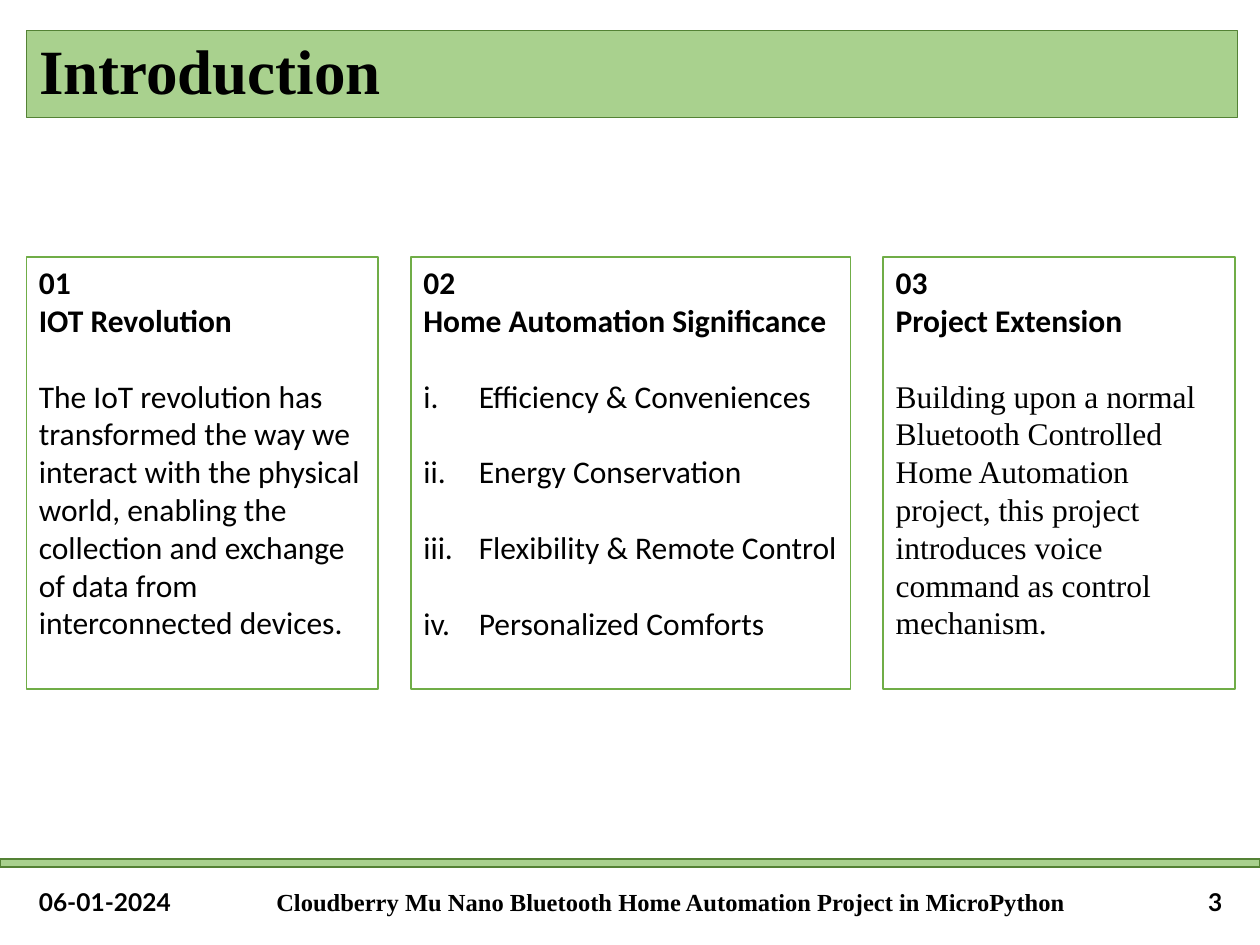
from dataclasses import dataclass

from lxml.etree import SubElement
from pptx import Presentation
from pptx.dml.color import RGBColor
from pptx.enum.shapes import MSO_SHAPE
from pptx.enum.text import MSO_ANCHOR, MSO_AUTO_SIZE, PP_ALIGN
from pptx.oxml.ns import qn
from pptx.util import Inches, Pt


@dataclass(frozen=True)
class Theme:
    black: RGBColor = RGBColor.from_string("000000")
    white: RGBColor = RGBColor.from_string("FFFFFF")
    band: RGBColor = RGBColor.from_string("A9D18E")
    band_line: RGBColor = RGBColor.from_string("548235")
    card_line: RGBColor = RGBColor.from_string("70AD47")
    serif: str = "Times New Roman"
    sans: str = "Calibri"
    footer_sans: str = "Lato"
    title_size: float = 36
    body_size: float = 18
    footer_size: float = 14
    line_pitch: float = 21.6


THEME = Theme()
WIDTH, HEIGHT = 10, 7.5
MARGIN, GAP = 0.21, 0.26
CARD_TOP, CARD_HEIGHT = 2.04, 3.43
LIST_INDENT = 0.44

CARDS = [
    (2.79, "01", "IOT Revolution", THEME.sans,
     "The IoT revolution has transformed the way we interact with the physical "
     "world, enabling the collection and exchange of data from interconnected devices."),
    (3.49, "02", "Home Automation Significance", THEME.sans,
     ["Efficiency & Conveniences", "Energy Conservation",
      "Flexibility & Remote Control", "Personalized Comforts"]),
    (2.79, "03", "Project Extension", THEME.serif,
     "Building upon a normal Bluetooth Controlled Home Automation project, this "
     "project introduces voice command as control mechanism."),
]


def place(shape, box):
    shape.left, shape.top, shape.width, shape.height = map(Inches, box)


def paint(shape, fill, line, width):
    shape.fill.solid()
    shape.fill.fore_color.rgb = fill
    shape.line.color.rgb = line
    shape.line.width = Pt(width)


def set_font(paragraph, name, size, bold):
    font = paragraph.font
    font.name, font.size, font.bold = name, Pt(size), bold
    font.color.rgb = THEME.black


def set_bullet(paragraph, numbered):
    """Number the paragraph in small roman numerals, or remove its bullet."""
    properties = paragraph._p.get_or_add_pPr()
    indent = Inches(LIST_INDENT) if numbered else 0
    properties.set("marL", str(indent))
    properties.set("indent", str(-indent))
    if numbered:
        SubElement(properties, qn("a:buFont"), typeface="+mj-lt")
        SubElement(properties, qn("a:buAutoNum"), type="romanLcPeriod")
    else:
        SubElement(properties, qn("a:buNone"))


def add_title(slide, box, text):
    title = slide.shapes.title
    place(title, box)
    paint(title, THEME.band, THEME.band_line, 0.5)
    frame = title.text_frame
    frame.text = text
    frame.auto_size = MSO_AUTO_SIZE.NONE
    frame.vertical_anchor = MSO_ANCHOR.MIDDLE
    paragraph = frame.paragraphs[0]
    paragraph.alignment = PP_ALIGN.LEFT
    paragraph.line_spacing = 0.9
    set_font(paragraph, THEME.serif, THEME.title_size, True)


def fill_card(shape, box, number, heading, font_name, body):
    place(shape, box)
    paint(shape, THEME.white, THEME.card_line, 1)
    frame = shape.text_frame
    frame.word_wrap = True
    frame.auto_size = MSO_AUTO_SIZE.NONE
    frame.vertical_anchor = MSO_ANCHOR.TOP
    numbered = isinstance(body, list)
    items = body if numbered else [body]
    frame.text = "\n".join([number, heading, *items])
    for index, paragraph in enumerate(frame.paragraphs):
        is_heading = index < 2
        paragraph.line_spacing = Pt(THEME.line_pitch)
        paragraph.space_before = Pt(0 if is_heading else THEME.line_pitch)
        set_bullet(paragraph, numbered and not is_heading)
        set_font(paragraph, THEME.sans if is_heading else font_name,
                 THEME.body_size, is_heading)


def add_cards(slide, left, top, height):
    for width, number, heading, font_name, body in CARDS:
        if isinstance(body, list):
            shape = slide.placeholders[1]
        else:
            shape = slide.shapes.add_textbox(0, 0, 0, 0)
        fill_card(shape, (left, top, width, height), number, heading, font_name, body)
        left += width + GAP


def add_footer(slide, top):
    rule = slide.shapes.add_shape(MSO_SHAPE.RECTANGLE, 0, Inches(top),
                                  Inches(WIDTH), Inches(0.06))
    rule.shadow.inherit = False
    paint(rule, THEME.band, THEME.band_line, 1)
    parts = [
        (MARGIN, 1.3, "06-01-2024", THEME.footer_sans, PP_ALIGN.LEFT),
        (1.55, 7.55, "Cloudberry Mu Nano Bluetooth Home Automation Project in MicroPython",
         THEME.serif, PP_ALIGN.CENTER),
        (9.21, 0.59, "3", THEME.footer_sans, PP_ALIGN.RIGHT),
    ]
    for left, width, text, font_name, alignment in parts:
        shape = slide.shapes.add_textbox(0, 0, 0, 0)
        place(shape, (left, top + 0.14, width, 0.4))
        frame = shape.text_frame
        frame.text = text
        frame.word_wrap = True
        frame.vertical_anchor = MSO_ANCHOR.MIDDLE
        paragraph = frame.paragraphs[0]
        paragraph.alignment = alignment
        set_font(paragraph, font_name, THEME.footer_size, True)


def main():
    presentation = Presentation()
    presentation.slide_width, presentation.slide_height = Inches(WIDTH), Inches(HEIGHT)
    slide = presentation.slides.add_slide(presentation.slide_layouts[1])
    add_title(slide, (MARGIN, 0.24, 9.61, 0.69), "Introduction")
    add_cards(slide, MARGIN, CARD_TOP, CARD_HEIGHT)
    add_footer(slide, 6.82)
    presentation.save("out.pptx")


if __name__ == "__main__":
    main()
